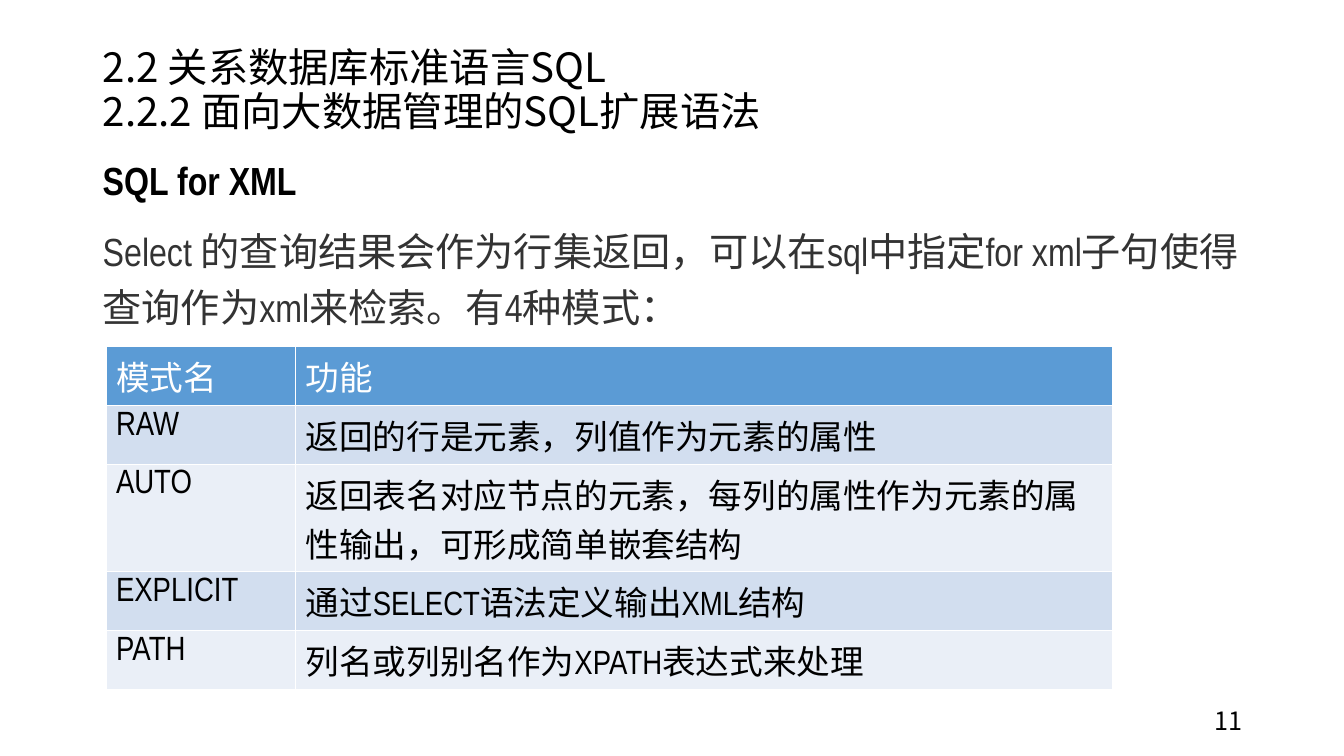
from dataclasses import dataclass

from lxml import etree
from pptx import Presentation
from pptx.dml.color import RGBColor
from pptx.enum.text import MSO_ANCHOR, PP_ALIGN
from pptx.oxml.ns import qn
from pptx.util import Cm, Pt

TOP = MSO_ANCHOR.TOP
MIDDLE = MSO_ANCHOR.MIDDLE
LEFT = PP_ALIGN.LEFT
RIGHT = PP_ALIGN.RIGHT


@dataclass(frozen=True)
class Theme:
    sans: str = "Noto Sans CJK SC"
    narrow: str = "Arial Narrow"
    black: str = "000000"
    gray: str = "333333"
    white: str = "FFFFFF"
    header: str = "5B9BD5"
    bands: tuple = ("D2DEEF", "EAEFF7")
    title_size: float = 28.8
    body_size: float = 28
    table_size: float = 24
    number_size: float = 18
    border_width: float = 1


THEME = Theme()

TITLE = "2.2 关系数据库标准语言SQL\n2.2.2 面向大数据管理的SQL扩展语法"
HEADING = "SQL for XML"
EXPLANATION = (
    "Select 的查询结果会作为行集返回，可以在sql中指定for xml子句"
    "使得查询作为xml来检索。有4种模式："
)
MODES = [
    ("模式名", "功能"),
    ("RAW", "返回的行是元素，列值作为元素的属性"),
    ("AUTO", "返回表名对应节点的元素，每列的属性作为元素的属性输出，可形成简单嵌套结构"),
    ("EXPLICIT", "通过SELECT语法定义输出XML结构"),
    ("PATH", "列名或列别名作为XPATH表达式来处理"),
]
COLUMN_WIDTHS = (4.78, 20.6)
ROW_HEIGHTS = (1.48, 1.48, 2.71, 1.48, 1.48)


def style_paragraph(paragraph, text, font_name, size, color, bold=False):
    paragraph.text = text
    font = paragraph.font
    font.name = font_name
    font.size = Pt(size)
    font.bold = bold
    font.color.rgb = RGBColor.from_string(color)
    properties = paragraph._p.get_or_add_pPr().find(qn("a:defRPr"))
    east_asian = etree.SubElement(properties, qn("a:ea"))
    east_asian.set("typeface", THEME.sans)


def add_text_frame(slide, left, top, width, height, anchor):
    box = slide.shapes.add_textbox(Cm(left), Cm(top), Cm(width), Cm(height))
    box.text_frame.word_wrap = True
    box.text_frame.vertical_anchor = anchor
    return box.text_frame


def add_line(slide, bounds, text, size, line_spacing=1.0, alignment=LEFT):
    frame = add_text_frame(slide, *bounds, MIDDLE)
    paragraph = frame.paragraphs[0]
    style_paragraph(paragraph, text, THEME.sans, size, THEME.black)
    paragraph.line_spacing = line_spacing
    paragraph.alignment = alignment


def add_body(slide, bounds):
    frame = add_text_frame(slide, *bounds, TOP)
    heading = frame.paragraphs[0]
    explanation = frame.add_paragraph()
    style_paragraph(heading, HEADING, THEME.narrow, THEME.body_size, THEME.black, True)
    style_paragraph(explanation, EXPLANATION, THEME.narrow, THEME.body_size, THEME.gray)
    for paragraph in frame.paragraphs:
        paragraph.space_before = Pt(10)
        paragraph.line_spacing = 1.2


def set_borders(cell):
    properties = cell._tc.get_or_add_tcPr()
    for side in ("a:lnL", "a:lnR", "a:lnT", "a:lnB"):
        line = etree.SubElement(properties, qn(side), w=str(Pt(THEME.border_width)))
        fill = etree.SubElement(line, qn("a:solidFill"))
        etree.SubElement(fill, qn("a:srgbClr"), val=THEME.white)


def fill_cell(cell, text, text_color, fill_color):
    set_borders(cell)
    cell.fill.solid()
    cell.fill.fore_color.rgb = RGBColor.from_string(fill_color)
    paragraph = cell.text_frame.paragraphs[0]
    style_paragraph(paragraph, text, THEME.narrow, THEME.table_size, text_color)


def add_mode_table(slide, left, top):
    table = slide.shapes.add_table(
        len(MODES), len(COLUMN_WIDTHS), Cm(left), Cm(top),
        Cm(sum(COLUMN_WIDTHS)), Cm(sum(ROW_HEIGHTS)),
    ).table
    for column, width in zip(table.columns, COLUMN_WIDTHS):
        column.width = Cm(width)
    for row_index, (row, height) in enumerate(zip(table.rows, ROW_HEIGHTS)):
        row.height = Cm(height)
        is_header = row_index == 0
        text_color = THEME.white if is_header else THEME.black
        fill_color = THEME.header if is_header else THEME.bands[(row_index - 1) % 2]
        for cell, text in zip(row.cells, MODES[row_index]):
            fill_cell(cell, text, text_color, fill_color)


def main():
    presentation = Presentation()
    presentation.slide_width = Cm(33.87)
    presentation.slide_height = Cm(19.05)
    slide = presentation.slides.add_slide(presentation.slide_layouts[6])
    add_line(slide, (2.34, 1.02, 29.21, 2.57), TITLE, THEME.title_size, 0.9)
    add_body(slide, (2.34, 3.58, 29.21, 5.16))
    add_line(slide, (23.93, 17.65, 7.62, 1.02), "11", THEME.number_size, alignment=RIGHT)
    add_mode_table(slide, 2.67, 8.74)
    presentation.save("out.pptx")


if __name__ == "__main__":
    main()
